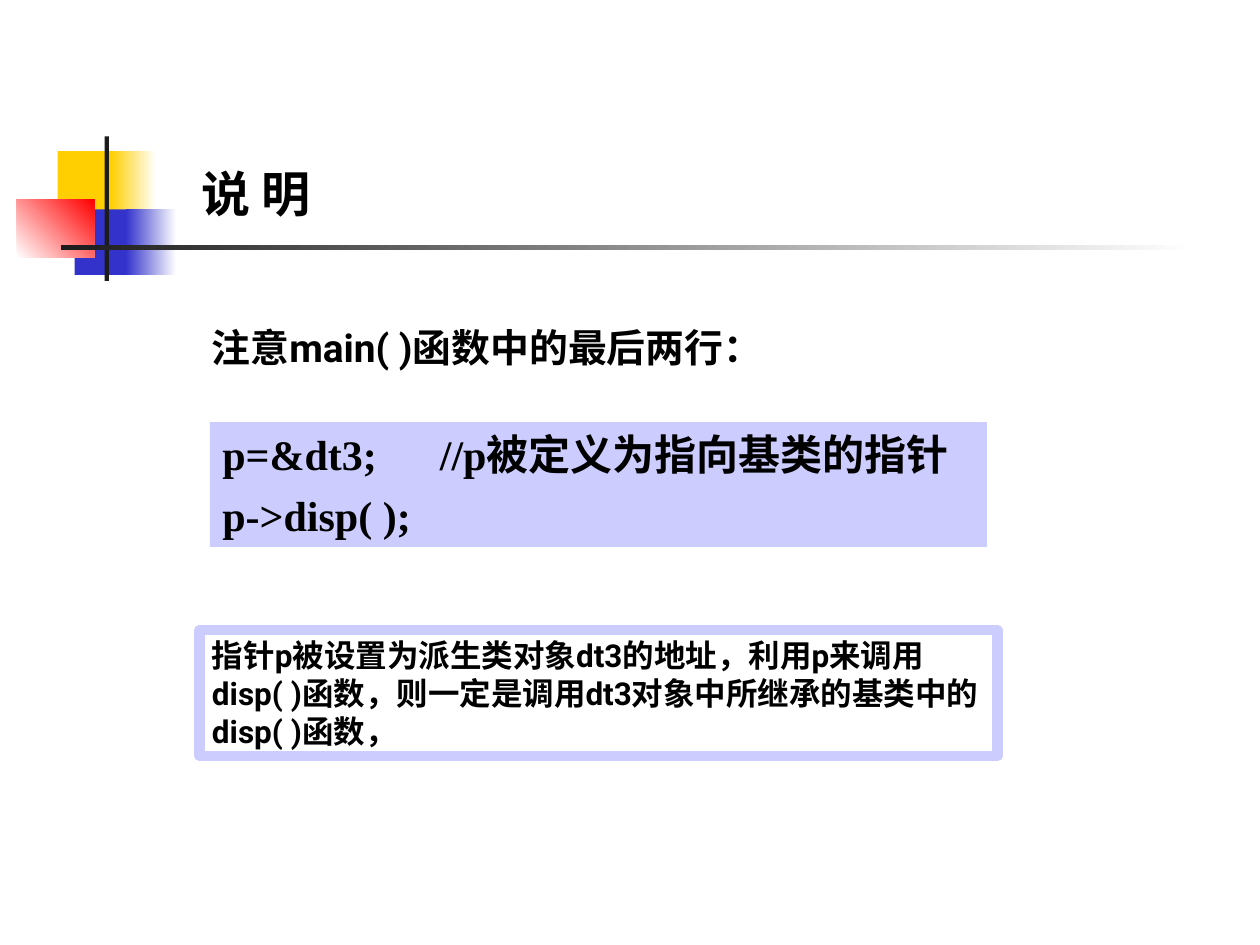
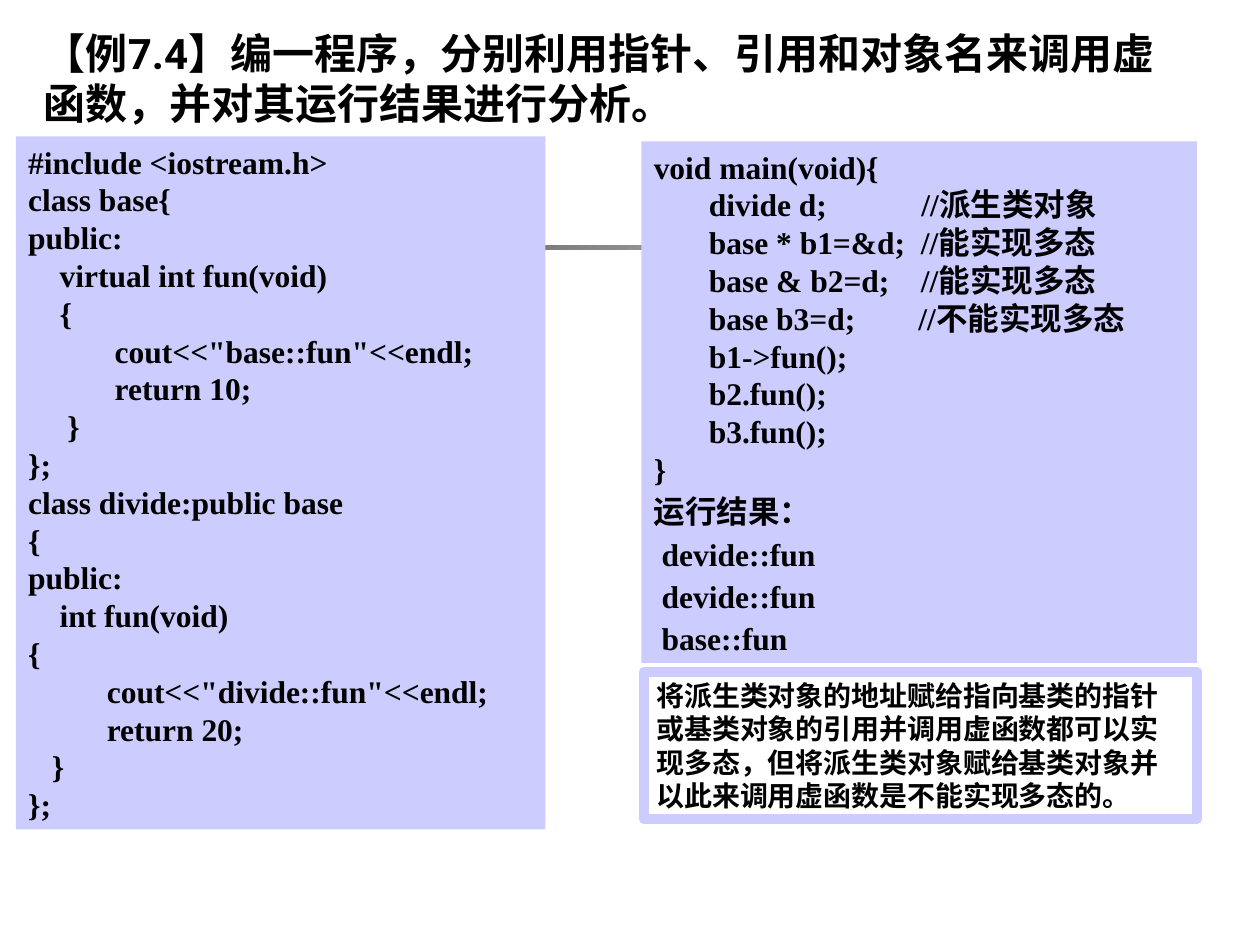
import pptx
import pptx.util
import pptx.oxml.ns
from lxml import etree
from pptx.dml.color import RGBColor
from pptx.enum.shapes import MSO_SHAPE
from pptx.enum.text import MSO_ANCHOR, PP_ALIGN

Pt = pptx.util.Pt

HUES = {"gold": "FFCF01", "blue": "3333CC", "red": "FF0000", "dark": "1C1C1C",
        "white": "FFFFFF", "black": "000000", "lilac": "CCCCFF"}
SERIF, SANS, HAN = "Times New Roman", "Roboto", "Noto Sans CJK SC"

# Decoration: left, top, width, height, colours (two make a gradient), angle
LOGO = [
    (33, 86.4, 34.5, 37.5, ["gold"], 0),
    (63.2, 86.4, 26, 37.5, ["gold", "white"], 0),
    (42.6, 119.7, 33.4, 37.4, ["blue"], 0),
    (72, 119.7, 28.6, 37.4, ["blue", "white"], 0),
    (9.7, 113.8, 44.2, 33.4, ["white", "red"], 45),
    (59.8, 78, 2.5, 82.6, ["dark"], 0),
]
RULE = (34.8, 140.2, 648, 2.5, ["dark", "white"], 0)

CALL = """\
p=&dt3;      //p被定义为指向基类的指针
p->disp( );"""

CLASSES = """\
#include <iostream.h>
class base{
public:
    virtual int fun(void)
    {
           cout<<"base::fun"<<endl;
           return 10;
     }
};
class divide:public base
{
public:
    int fun(void)
{
          cout<<"divide::fun"<<endl;
          return 20;
   }
};"""

MAIN = """\
void main(void){
       divide d;            //派生类对象
       base * b1=&d;  //能实现多态
       base & b2=d;    //能实现多态
       base b3=d;        //不能实现多态
       b1->fun();
       b2.fun();
       b3.fun();
}"""

RESULT = """\
运行结果：
 devide::fun
 devide::fun
 base::fun"""

# Style of each kind of text: latin font, fill, border
KINDS = {
    "title": (SERIF, None, None),
    "lead": (SANS, None, None),
    "code": (SERIF, "lilac", None),
    "note": (SANS, None, "lilac"),
}

# Per slide: decoration, then (kind, size, place, text, settings)
SLIDES = [
    (LOGO + [RULE], [
        ("lead", 22.2, (113.8, 174.2, 378, 48.2), "注意main( )函数中的最后两行：",
         {"anchor": MSO_ANCHOR.MIDDLE, "align": PP_ALIGN.JUSTIFY}),
        ("title", 28, (108, 90, 126, 41), "说 明", {}),
        ("code", 24, (120, 241.3, 444, 71.2), CALL, {"gap": 6}),
        ("note", 18, (114, 360, 456, 72),
         "指针p被设置为派生类对象dt3的地址，利用p来调用disp( )函数，"
         "则一定是调用dt3对象中所继承的基类中的disp( )函数，", {}),
    ]),
    ([RULE], [
        ("lead", 24, (18, 12, 666, 66),
         "【例7.4】编一程序，分别利用指针、引用和对象名来调用虚函数，"
         "并对其运行结果进行分析。", {}),
        ("code", 18, (9, 78, 302.6, 396), CLASSES, {}),
        ("code", 18, (366.5, 80.8, 317.5, 298), MAIN, {"tail": RESULT}),
        ("note", 16, (368, 384, 316, 84),
         "将派生类对象的地址赋给指向基类的指针或基类对象的引用并调用虚函数"
         "都可以实现多态，但将派生类对象赋给基类对象并以此来调用虚函数"
         "是不能实现多态的。", {}),
    ]),
]


def tint(name):
    return RGBColor.from_string(HUES[name])


def rect(slide, place):
    shape = slide.shapes.add_shape(MSO_SHAPE.RECTANGLE, *map(Pt, place))
    shape.shadow.inherit = False
    shape.fill.background()
    shape.line.fill.background()
    return shape


def deco(slide, left, top, width, height, hues, angle):
    fill = rect(slide, (left, top, width, height)).fill
    if len(hues) == 1:
        fill.solid()
        fill.fore_color.rgb = tint(hues[0])
        return
    fill.gradient()
    fill.gradient_angle = angle
    for stop, hue in zip(fill.gradient_stops, hues):
        stop.color.rgb = tint(hue)


def style(para, size, face):
    """Set the paragraph font, with its East Asian face as well."""
    font = para.font
    font.size, font.bold, font.name = Pt(size), True, face
    font.color.rgb = tint("black")
    qn = pptx.oxml.ns.qn
    props = para._p.pPr.find(qn("a:defRPr"))
    etree.SubElement(props, qn("a:ea")).set("typeface", HAN)


def block(slide, kind, size, place, text, gap=0, tail="",
          anchor=MSO_ANCHOR.TOP, align=PP_ALIGN.LEFT):
    """Add a text; the lines of tail follow it with tighter leading."""
    face, fill, edge = KINDS[kind]
    if fill or edge:
        shape = rect(slide, place)
    else:
        shape = slide.shapes.add_textbox(*map(Pt, place))
    if fill:
        shape.fill.solid()
        shape.fill.fore_color.rgb = tint(fill)
    if edge:
        shape.line.color.rgb = tint(edge)
        shape.line.width = Pt(6)
    frame = shape.text_frame
    frame.word_wrap = True
    frame.vertical_anchor = anchor
    lines = [(line, gap, 1) for line in text.splitlines()]
    lines += [(line, 6.8, 0.8) for line in tail.splitlines()]
    for i, (line, space, lead) in enumerate(lines):
        para = frame.add_paragraph() if i else frame.paragraphs[0]
        para.text = line
        para.alignment = align
        para.line_spacing = lead
        para.space_before = Pt(space if i else 0)
        style(para, size, face)


def main():
    deck = pptx.Presentation()
    deck.slide_width, deck.slide_height = Pt(720), Pt(540)
    for decos, texts in SLIDES:
        slide = deck.slides.add_slide(deck.slide_layouts[6])
        for item in decos:
            deco(slide, *item)
        for kind, size, place, text, extra in texts:
            block(slide, kind, size, place, text, **extra)
    deck.save("out.pptx")


if __name__ == "__main__":
    main()
